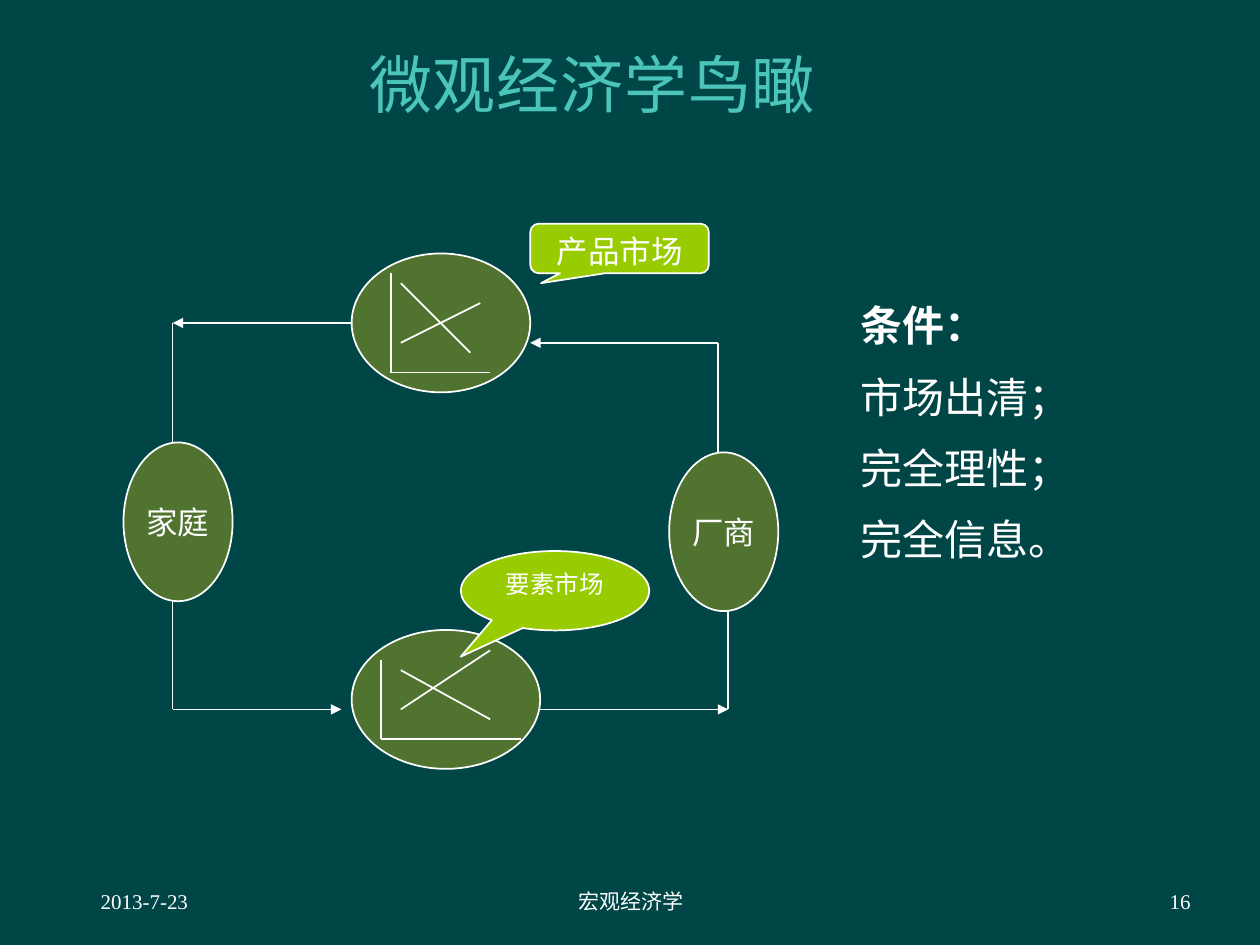
from dataclasses import dataclass

from lxml import etree
from pptx import Presentation
from pptx.dml.color import RGBColor as RGB
from pptx.enum.shapes import MSO_CONNECTOR, MSO_SHAPE as SHAPE
from pptx.enum.text import MSO_ANCHOR as ANCHOR, MSO_AUTO_SIZE as FIT, PP_ALIGN as AL
from pptx.oxml.ns import qn
from pptx.util import Cm, Pt


@dataclass(frozen=True)
class Theme:
    background: RGB = RGB(0x00, 0x46, 0x46)
    title: RGB = RGB(0x4B, 0xC5, 0xB9)
    ink: RGB = RGB(0xFF, 0xFF, 0xFF)
    node: RGB = RGB(0x50, 0x74, 0x2F)
    callout: RGB = RGB(0x99, 0xCC, 0x00)
    title_font: str = "Arial"
    body_font: str = "Times New Roman"
    title_size: Pt = Pt(36)
    list_size: Pt = Pt(24)
    label_size: Pt = Pt(18)
    small_size: Pt = Pt(14)
    footer_size: Pt = Pt(12)


T = Theme()


def write(sp, text, size, align=AL.CENTER, anchor=ANCHOR.MIDDLE, wrap=True,
          font=T.body_font, color=T.ink):
    """Fill a shape's text frame, one paragraph per line of text."""
    tf = sp.text_frame
    tf.text = text
    tf.word_wrap = wrap
    tf.vertical_anchor = anchor
    for p in tf.paragraphs:
        p.alignment = align
        for r in p.runs:
            r.font.name, r.font.size, r.font.color.rgb = font, size, color
    return tf


def outlined(kind, box, fill):
    sp = s.shapes.add_shape(kind, *map(Cm, box))
    sp.shadow.inherit = False
    sp.fill.solid()
    sp.fill.fore_color.rgb = fill
    sp.line.color.rgb = T.ink
    sp.line.width = Pt(1)
    return sp


prs = Presentation()
prs.slide_width, prs.slide_height = Cm(25.4), Cm(19.05)
s = prs.slides.add_slide(prs.slide_layouts[6])
s.background.fill.solid()
s.background.fill.fore_color.rgb = T.background

# Title
title = s.shapes.add_textbox(Cm(0.79), Cm(0.79), Cm(22.3), Cm(1.8))
tf = write(title, "微观经济学鸟瞰", T.title_size, font=T.title_font, color=T.title)
tf.paragraphs[0].runs[0]._r.get_or_add_rPr().set("spc", "50")

# Footer: text, left, width, alignment, left and right inset
for text, left, width, align, inset_left, inset_right in (
    ("2013-7-23", 1.27, 5.92, AL.LEFT, 0.76, 0.25),
    ("宏观经济学", 8.69, 8.05, AL.CENTER, 0.25, 0.25),
    ("16", 18.21, 5.92, AL.RIGHT, 0.13, 0.13),
):
    footer = s.shapes.add_textbox(Cm(left), Cm(17.65), Cm(width), Cm(1.02))
    tf = write(footer, text, T.footer_size, align)
    tf.margin_left, tf.margin_right = Cm(inset_left), Cm(inset_right)

# Households, firms and the two markets
for text, box in (
    ("家庭", (2.49, 8.92, 2.2, 3.2)),
    ("", (7.09, 5.11, 3.6, 2.8)),
    ("厂商", (13.49, 9.12, 2.2, 3.2)),
    ("", (7.09, 12.7, 3.8, 2.8)),
):
    node = outlined(SHAPE.OVAL, box, T.node)
    if text:
        write(node, text, T.label_size, wrap=False)

# Lines: x1, y1, x2, y2
factor_chart = [
    (7.68, 14.9, 10.5, 14.9), (7.68, 14.9, 7.68, 13.31),
    (8.08, 14.3, 9.88, 13.11), (8.08, 13.51, 9.88, 14.5),
]
product_chart = [
    (7.88, 5.51, 7.88, 7.51), (7.88, 7.51, 9.88, 7.51),
    (9.68, 6.11, 8.08, 6.91), (8.08, 5.71, 9.48, 7.11),
]
flow_stems = [
    (14.48, 9.12, 14.48, 6.91), (3.48, 8.92, 3.48, 6.51),
    (14.68, 12.32, 14.68, 14.3), (3.48, 12.12, 3.48, 14.3),
]
flow_arrows = [
    (14.48, 6.91, 10.69, 6.91), (3.48, 14.3, 6.88, 14.3),
    (10.89, 14.3, 14.68, 14.3), (7.09, 6.51, 3.48, 6.51),
]
for ends in factor_chart + product_chart + flow_stems + flow_arrows:
    line = s.shapes.add_connector(MSO_CONNECTOR.STRAIGHT, *map(Cm, ends))
    line.line.color.rgb = T.ink
    line.line.width = Pt(1)
    if ends in flow_arrows:
        etree.SubElement(line.line._get_or_add_ln(), qn("a:tailEnd"), type="triangle")
    etree.SubElement(line._element.spPr, qn("a:effectLst"))

# Market callouts
for kind, text, box, size, adjustments in (
    (SHAPE.ROUNDED_RECTANGULAR_CALLOUT, "产品市场", (10.69, 4.51, 3.6, 1),
     T.label_size, (-0.44, 0.7, 0.17)),
    (SHAPE.OVAL_CALLOUT, "要素市场", (9.29, 11.11, 3.8, 1.6),
     T.small_size, (-0.5, 0.83)),
):
    callout = outlined(kind, box, T.callout)
    for i, value in enumerate(adjustments):
        callout.adjustments[i] = value
    write(callout, text, size, anchor=ANCHOR.TOP)

# Conditions
conditions = s.shapes.add_textbox(Cm(17.09), Cm(5.92), Cm(4.8), Cm(6.68))
tf = write(conditions, "条件：\n市场出清；\n完全理性；\n完全信息。", T.list_size,
           AL.LEFT, ANCHOR.TOP)
tf.auto_size = FIT.SHAPE_TO_FIT_TEXT
for p in tf.paragraphs:
    p.space_before = Pt(12)
tf.paragraphs[0].runs[0].font.bold = True

prs.save("out.pptx")
